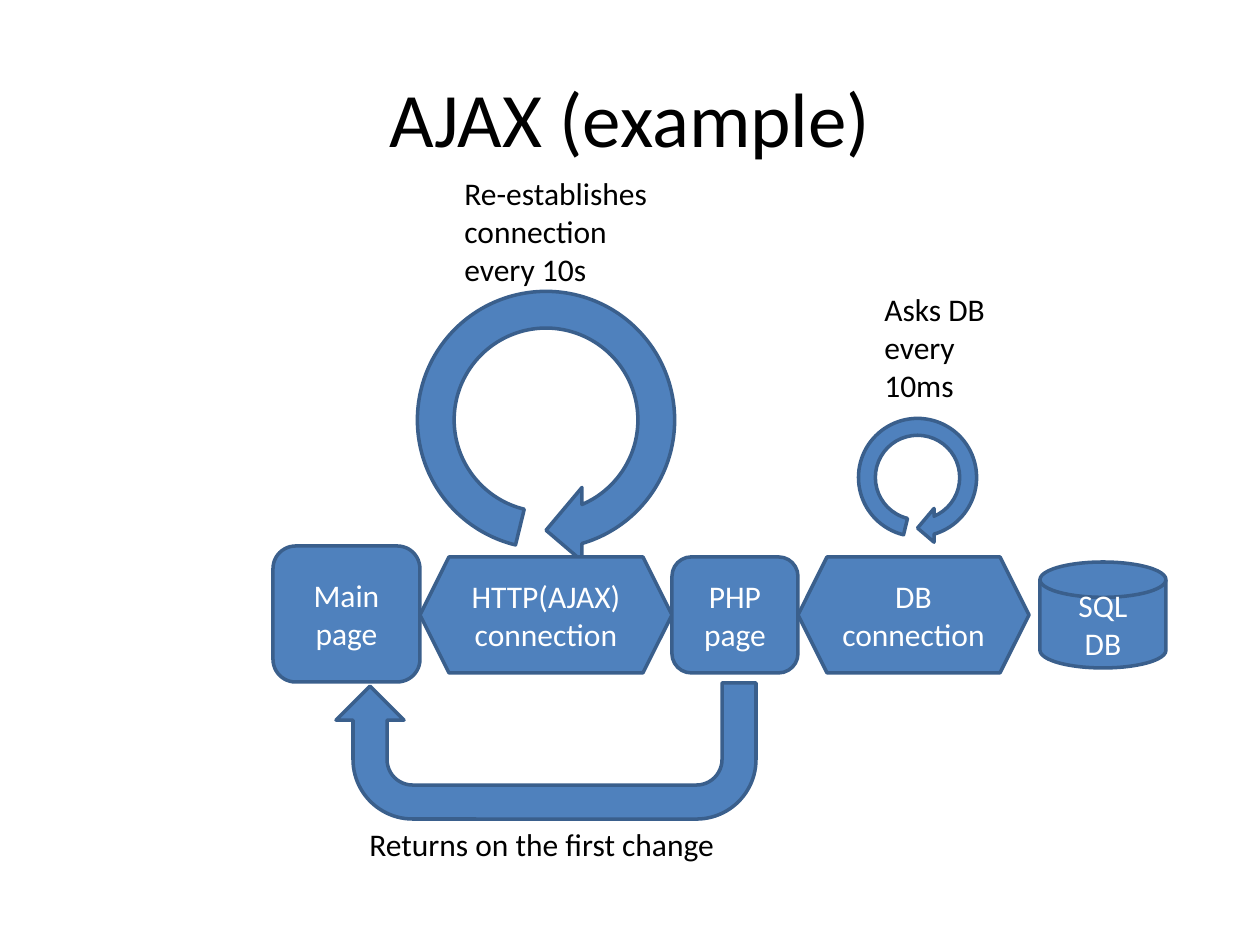
"""Builds the AJAX example slide: a chain of stages with loop and return arrows."""
from pptx import Presentation, util as u
from pptx.dml.color import RGBColor
from pptx.enum import shapes, text

PX = 914400 / 126
BLUE, EDGE, WHITE, BLACK = "4F81BD", "3A5F8C", "FFFFFF", "000000"
M = shapes.MSO_SHAPE
LOOP = [0.125, 11.423, 204.577, 8.233, 0.125]
UTURN = [0.25, 0.25, 0.25, 0.438, 0.977]

TITLE = ("AJAX (example)", (63, 38, 1134, 157))
LOOPS = [(850, 410, 135), (399, 273, 294)]
STAGES = [
    (M.FLOWCHART_MAGNETIC_DISK, (1040, 562, 126, 106), ["SQL", "DB"]),
    (M.HEXAGON, (420, 557, 252, 116), ["HTTP(AJAX)", "connection"]),
    (M.HEXAGON, (798, 557, 231, 116), ["DB", "connection"]),
    (M.ROUNDED_RECTANGLE, (672, 557, 126, 116), ["PHP", "page"]),
    (M.ROUNDED_RECTANGLE, (273, 546, 147, 136), ["Main", "page"]),
]
RETURN_BOX = (336, 683, 420, 136)
NOTES = [
    ("Asks DB every 10ms", (872, 284, 126, 127)),
    ("Re-establishes connection every 10s", (452, 168, 210, 127)),
    ("Returns on the first change", (357, 819, 388, 50)),
]


def emu(box):
    return [u.Emu(round(v * PX)) for v in box]


def rgb(value):
    return RGBColor.from_string(value)


def write(tf, lines, size, color, align):
    tf.word_wrap = True
    for i, line in enumerate(lines):
        p = tf.add_paragraph() if i else tf.paragraphs[0]
        p.alignment = align
        r = p.add_run()
        r.text = line
        r.font.size = u.Pt(size)
        r.font.name = "Calibri"
        r.font.color.rgb = rgb(color)


def add_block(s, kind, box, lines=(), adjust=(), rotation=0):
    sp = s.shapes.add_shape(kind, *emu(box))
    sp.shadow.inherit = False
    sp.rotation = rotation
    for i, value in enumerate(adjust):
        sp.adjustments[i] = value
    sp.fill.solid()
    sp.fill.fore_color.rgb = rgb(BLUE)
    sp.line.color.rgb = rgb(EDGE)
    sp.line.width = u.Pt(2)
    sp.text_frame.vertical_anchor = text.MSO_ANCHOR.MIDDLE
    write(sp.text_frame, lines, 18, WHITE, text.PP_ALIGN.CENTER)


def main():
    prs = Presentation()
    prs.slide_width, prs.slide_height = emu((1260, 945))
    s = prs.slides.add_slide(prs.slide_layouts[5])

    title, box = TITLE
    sp = s.shapes.title
    sp.left, sp.top, sp.width, sp.height = emu(box)
    sp.text_frame.vertical_anchor = text.MSO_ANCHOR.MIDDLE
    write(sp.text_frame, [title], 44, BLACK, text.PP_ALIGN.CENTER)

    for x, y, size in LOOPS:
        add_block(s, M.CIRCULAR_ARROW, (x, y, size, size), adjust=LOOP, rotation=90)
    for kind, box, lines in STAGES:
        add_block(s, kind, box, lines)
    add_block(s, M.U_TURN_ARROW, RETURN_BOX, adjust=UTURN, rotation=180)

    for note, box in NOTES:
        tf = s.shapes.add_textbox(*emu(box)).text_frame
        write(tf, [note], 18, BLACK, text.PP_ALIGN.LEFT)
        tf.auto_size = text.MSO_AUTO_SIZE.SHAPE_TO_FIT_TEXT

    prs.save("out.pptx")


if __name__ == "__main__":
    main()
